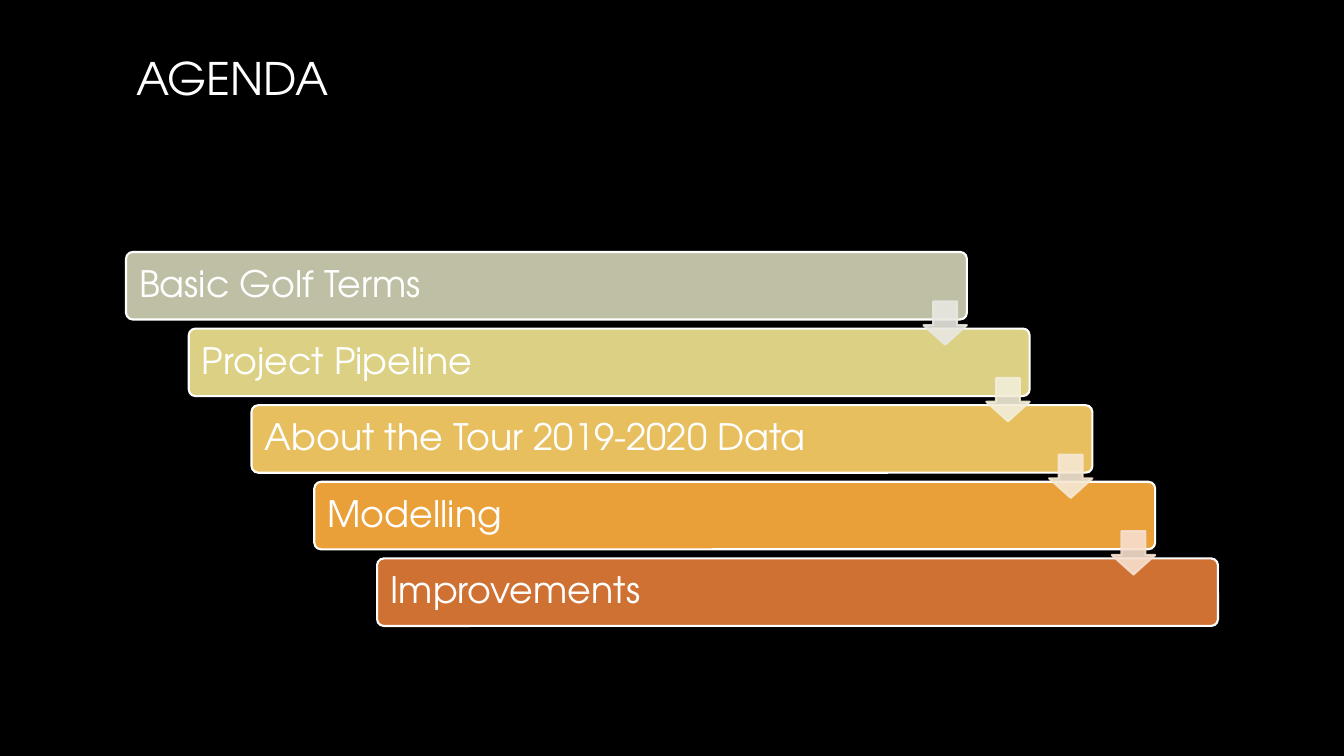
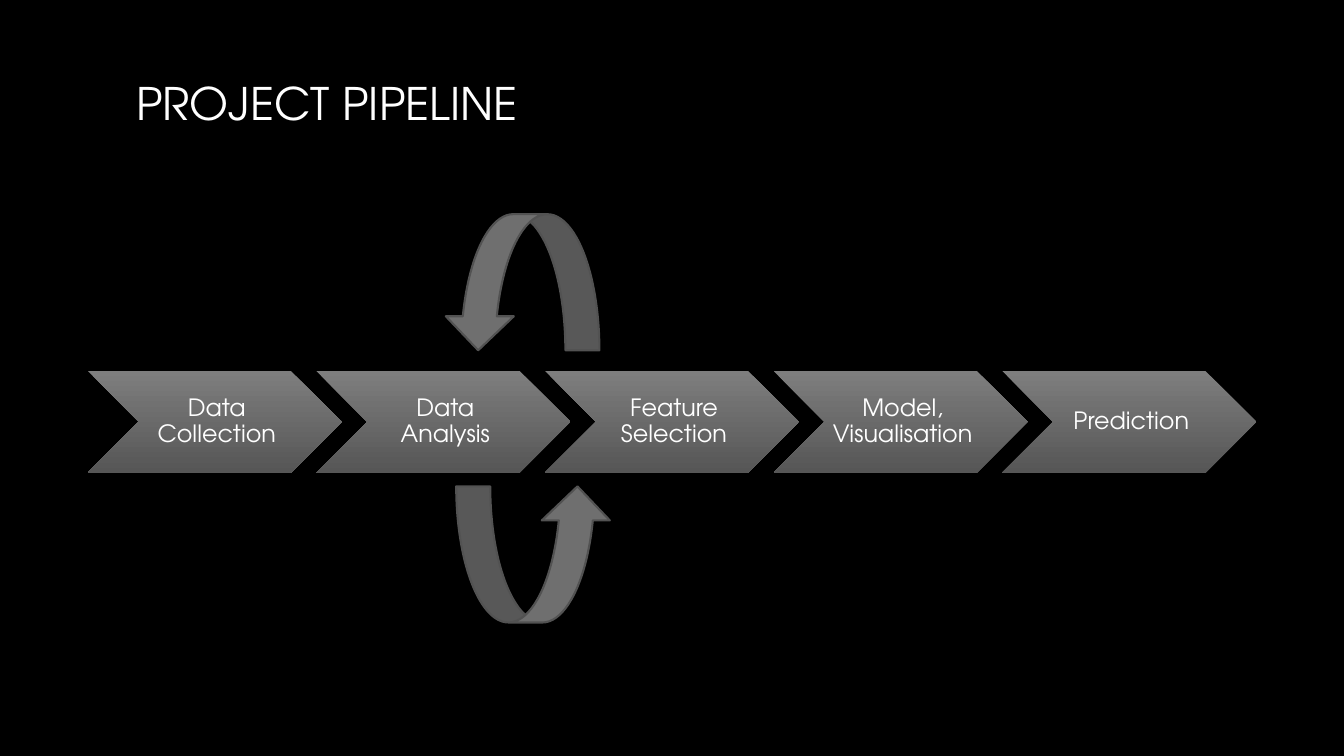
from dataclasses import dataclass

from lxml.etree import SubElement
from pptx import Presentation
from pptx.dml.color import RGBColor
from pptx.enum.shapes import MSO_SHAPE
from pptx.enum.text import MSO_ANCHOR, MSO_AUTO_SIZE, PP_ALIGN
from pptx.oxml.ns import qn
from pptx.util import Inches, Pt


@dataclass(frozen=True)
class Theme:
    font: str = "TeX Gyre Adventor"
    background: str = "000000"
    text: str = "FFFFFF"
    outline: str = "FFFFFF"
    stage_top: str = "7E7E7E"
    stage_bottom: str = "565656"
    loop: str = "6F6F6F"
    loop_outline: str = "525252"
    title_size: int = 32
    topic_size: int = 26
    stage_size: int = 17
    line_width: float = 1.5
    line_spacing: float = 0.9
    arrow_opacity: int = 90


@dataclass(frozen=True)
class Box:
    left: float
    top: float
    width: float
    height: float

    def inches(self):
        return [Inches(v) for v in (self.left, self.top, self.width, self.height)]


THEME = Theme()

AGENDA = [
    ("Basic Golf Terms", "BFBFA5", "E8E8E1"),
    ("Project Pipeline", "DCD084", "F2EED9"),
    ("About the Tour 2019-2020 Data", "E7BF5F", "F6E8D2"),
    ("Modelling", "E9A039", "F7DFCE"),
    ("Improvements", "CF7133", None),
]
STAGES = [
    "Data Collection",
    "Data Analysis",
    "Feature Selection",
    "Model, Visualisation",
    "Prediction",
]


def rgb(color):
    return RGBColor.from_string(color)


def add_preset(slide, preset, box, fill=None, outline=None):
    shape = slide.shapes.add_shape(preset, *box.inches())
    shape.shadow.inherit = False
    if fill:
        shape.fill.solid()
        shape.fill.fore_color.rgb = rgb(fill)
    if outline:
        shape.line.color.rgb = rgb(outline)
        shape.line.width = Pt(THEME.line_width)
    else:
        shape.line.fill.background()
    return shape


def write(shape, text, size, align, margins=None):
    frame = shape.text_frame
    frame.word_wrap = True
    frame.auto_size = MSO_AUTO_SIZE.NONE
    frame.vertical_anchor = MSO_ANCHOR.MIDDLE
    if margins:
        (frame.margin_left, frame.margin_top,
         frame.margin_right, frame.margin_bottom) = [Inches(m) for m in margins]
    frame.text = text
    paragraph = frame.paragraphs[0]
    paragraph.alignment = align
    paragraph.line_spacing = THEME.line_spacing
    paragraph.font.name = THEME.font
    paragraph.font.size = Pt(size)
    paragraph.font.color.rgb = rgb(THEME.text)


def make_translucent(shape, opacity):
    for color in shape._element.spPr.iter(qn("a:srgbClr")):
        SubElement(color, qn("a:alpha")).set("val", str(opacity * 1000))


def add_titled_slide(prs, title, top):
    slide = prs.slides.add_slide(prs.slide_layouts[5])
    heading = slide.shapes.title
    heading.left, heading.top, heading.width, heading.height = Box(1.25, top, 10.83, 1.61).inches()
    write(heading, title, THEME.title_size, PP_ALIGN.LEFT)
    return slide


def add_agenda_stairs(slide, box):
    bar_width, bar_height, arrow_side, arrow_drop = 8.34, 0.67, 0.43, 0.49
    steps = len(AGENDA) - 1
    step_x = (box.width - bar_width) / steps
    step_y = (box.height - bar_height) / steps
    bars = [Box(box.left + i * step_x, box.top + i * step_y, bar_width, bar_height)
            for i in range(len(AGENDA))]
    for bar_box, (topic, color, _) in zip(bars, AGENDA):
        bar = add_preset(slide, MSO_SHAPE.ROUNDED_RECTANGLE, bar_box, color, THEME.outline)
        bar.adjustments[0] = 0.1
        write(bar, topic, THEME.topic_size, PP_ALIGN.LEFT, (0.11,) * 4)
    for bar_box, (_, _, color) in zip(bars[:-1], AGENDA):
        arrow_box = Box(bar_box.left + bar_width - arrow_side, bar_box.top + arrow_drop,
                        arrow_side, arrow_side)
        arrow = add_preset(slide, MSO_SHAPE.DOWN_ARROW, arrow_box, color, color)
        arrow.adjustments[0] = 0.45
        arrow.adjustments[0], arrow.adjustments[1] = 0.55, 0.45
        make_translucent(arrow, THEME.arrow_opacity)


def add_stage_chain(slide, box):
    stage_width = 2.52
    step = (box.width - stage_width) / (len(STAGES) - 1)
    for i, name in enumerate(STAGES):
        stage_box = Box(box.left + i * step, box.top, stage_width, box.height)
        stage = add_preset(slide, MSO_SHAPE.CHEVRON, stage_box)
        stage.adjustments[0] = 0.5
        stage.fill.gradient()
        stage.fill.gradient_angle = 270
        colors = (THEME.stage_top, THEME.stage_bottom)
        for stop, color, position in zip(stage.fill.gradient_stops, colors, (0, 1)):
            stop.color.rgb = rgb(color)
            stop.position = position
        write(stage, name, THEME.stage_size, PP_ALIGN.CENTER, (0.07, 0.02, 0.03, 0.02))


def add_loop_arrow(slide, box, rotation):
    loop = add_preset(slide, MSO_SHAPE.CURVED_RIGHT_ARROW, box, THEME.loop, THEME.loop_outline)
    loop.rotation = rotation


def build_agenda(prs):
    slide = add_titled_slide(prs, "AGENDA", 0)
    add_agenda_stairs(slide, Box(1.25, 2.5, 10.83, 3.71))


def build_pipeline(prs):
    slide = add_titled_slide(prs, "PROJECT PIPELINE", 0.25)
    add_stage_chain(slide, Box(0.87, 3.68, 11.59, 1.01))
    add_loop_arrow(slide, Box(4.5, 2.03, 1.35, 1.54), 90)
    add_loop_arrow(slide, Box(4.62, 4.73, 1.35, 1.54), 270)


def main():
    prs = Presentation()
    prs.slide_width, prs.slide_height = Inches(13.33), Inches(7.5)
    backdrop = prs.slide_master.background.fill
    backdrop.solid()
    backdrop.fore_color.rgb = rgb(THEME.background)
    build_agenda(prs)
    build_pipeline(prs)
    prs.save("out.pptx")


if __name__ == "__main__":
    main()
